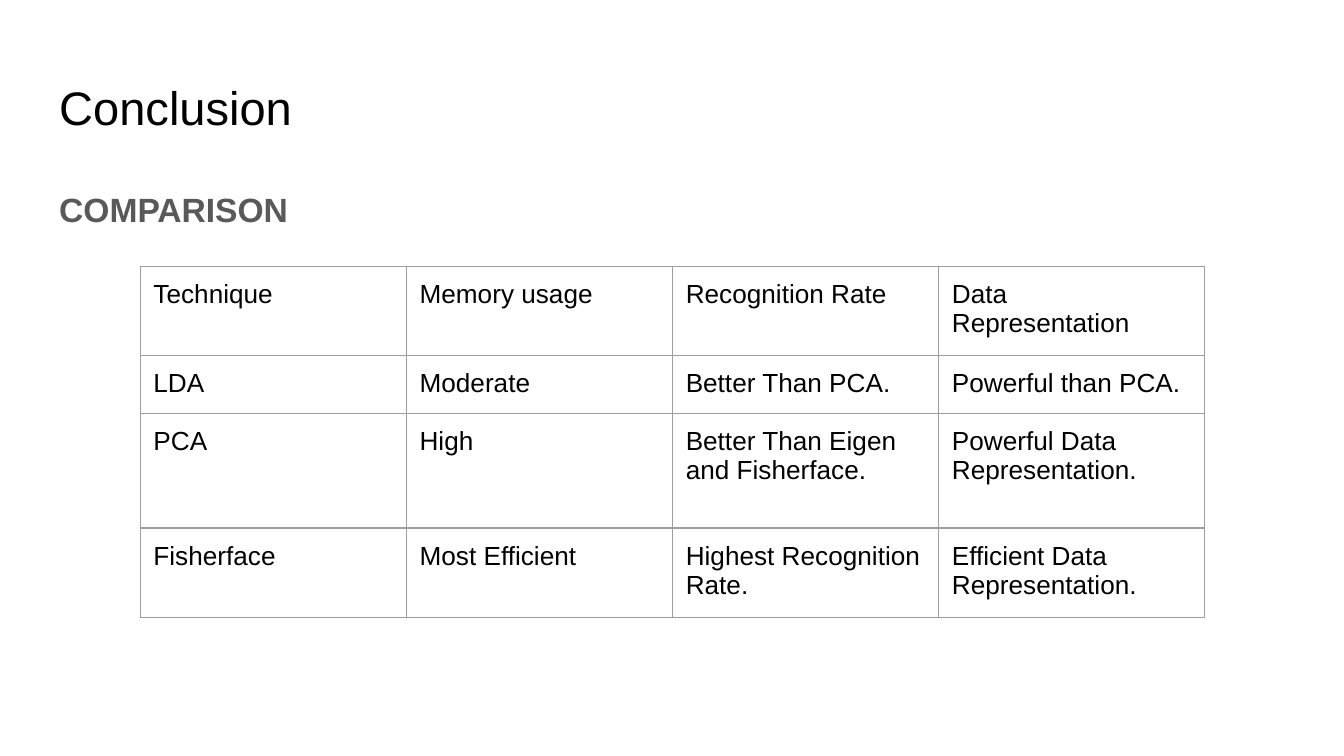
from lxml.etree import SubElement
from pptx import Presentation
from pptx.dml.color import RGBColor
from pptx.oxml.ns import qn
from pptx.util import Cm, Pt

BLACK = RGBColor(0x00, 0x00, 0x00)
GRAY = RGBColor(0x59, 0x59, 0x59)
BORDER = RGBColor(0x9E, 0x9E, 0x9E)
FONT = "Arial"
INSET = Cm(0.25)

COMPARISON = [
    ("Technique", "Memory usage", "Recognition Rate", "Data Representation"),
    ("LDA", "Moderate", "Better Than PCA.", "Powerful than PCA."),
    ("PCA", "High", "Better Than Eigen and Fisherface.", "Powerful Data Representation."),
    ("Fisherface", "Most Efficient", "Highest Recognition Rate.", "Efficient Data Representation."),
]
ROW_HEIGHTS = [1.61, 1.06, 2.17, 1.62]
COLUMN_WIDTH = 5.03


def write(holder, text, size, color, bold=False):
    """Fill a text box or table cell with one run and set its insets."""
    frame = holder.text_frame
    frame.word_wrap = True
    frame.margin_left = frame.margin_right = INSET
    frame.margin_top = frame.margin_bottom = INSET
    paragraph = frame.paragraphs[0]
    run = paragraph.add_run()
    run.text = text
    run.font.name = FONT
    run.font.size = Pt(size)
    run.font.bold = bold
    run.font.color.rgb = color
    return paragraph


def add_borders(cell):
    properties = cell._tc.get_or_add_tcPr()
    for position, side in enumerate(("a:lnL", "a:lnR", "a:lnT", "a:lnB")):
        line = properties.makeelement(qn(side), {"w": str(Pt(0.75))})
        properties.insert(position, line)
        fill = SubElement(line, qn("a:solidFill"))
        SubElement(fill, qn("a:srgbClr"), val=str(BORDER))


prs = Presentation()
prs.slide_width = Cm(25.4)
prs.slide_height = Cm(14.29)
slide = prs.slides.add_slide(prs.slide_layouts[6])

title = slide.shapes.add_textbox(Cm(0.87), Cm(1.24), Cm(23.67), Cm(1.6))
write(title, "Conclusion", 25.2, BLACK)

subtitle = slide.shapes.add_textbox(Cm(0.87), Cm(3.2), Cm(23.67), Cm(9.5))
heading = write(subtitle, "COMPARISON", 18, GRAY, bold=True)
heading.line_spacing = 1.15
heading.space_after = Pt(12)

table = slide.shapes.add_table(
    len(COMPARISON), len(COMPARISON[0]), Cm(2.65), Cm(5.03),
    Cm(COLUMN_WIDTH * len(COMPARISON[0])), Cm(sum(ROW_HEIGHTS))).table
table.first_row = False
table.horz_banding = False
for column in table.columns:
    column.width = Cm(COLUMN_WIDTH)
for row, height, entries in zip(table.rows, ROW_HEIGHTS, COMPARISON):
    row.height = Cm(height)
    for cell, entry in zip(row.cells, entries):
        cell.fill.background()
        cell.margin_left = cell.margin_right = INSET
        cell.margin_top = cell.margin_bottom = INSET
        write(cell, entry, 14, BLACK)
        add_borders(cell)

prs.save("out.pptx")
